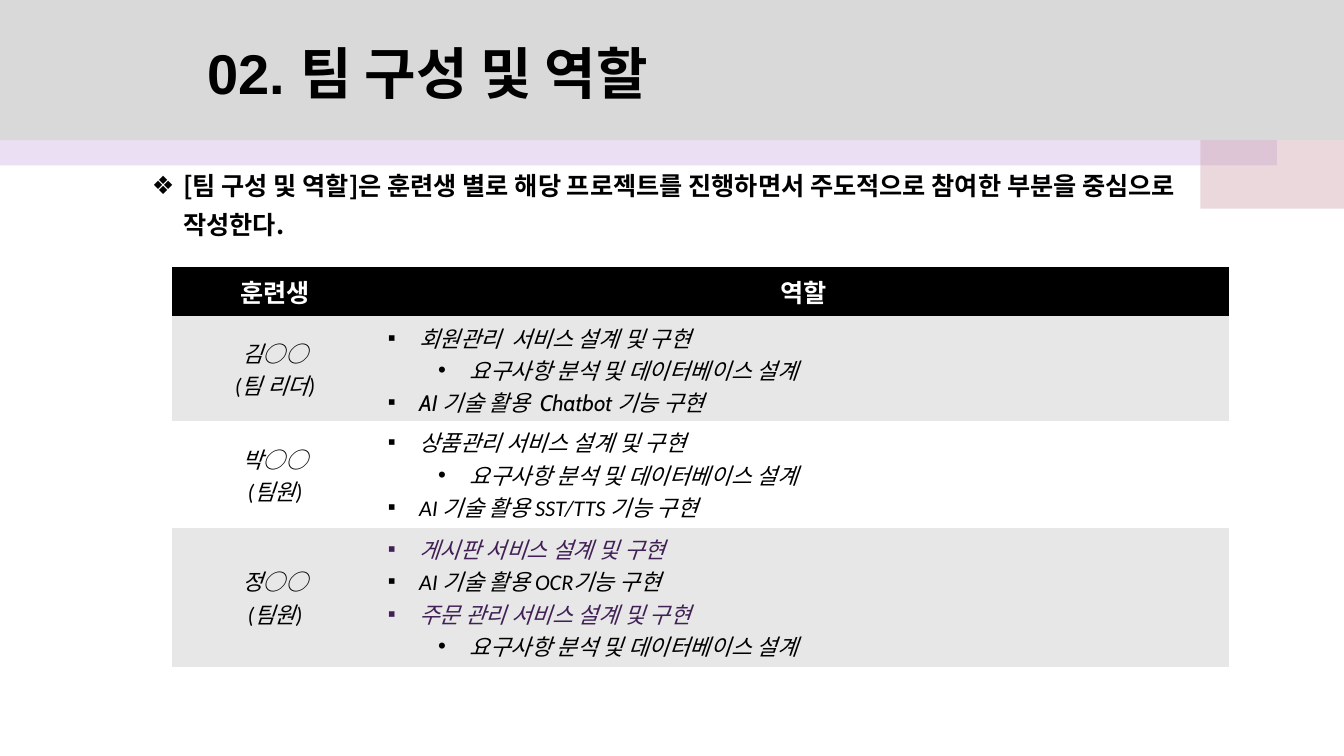
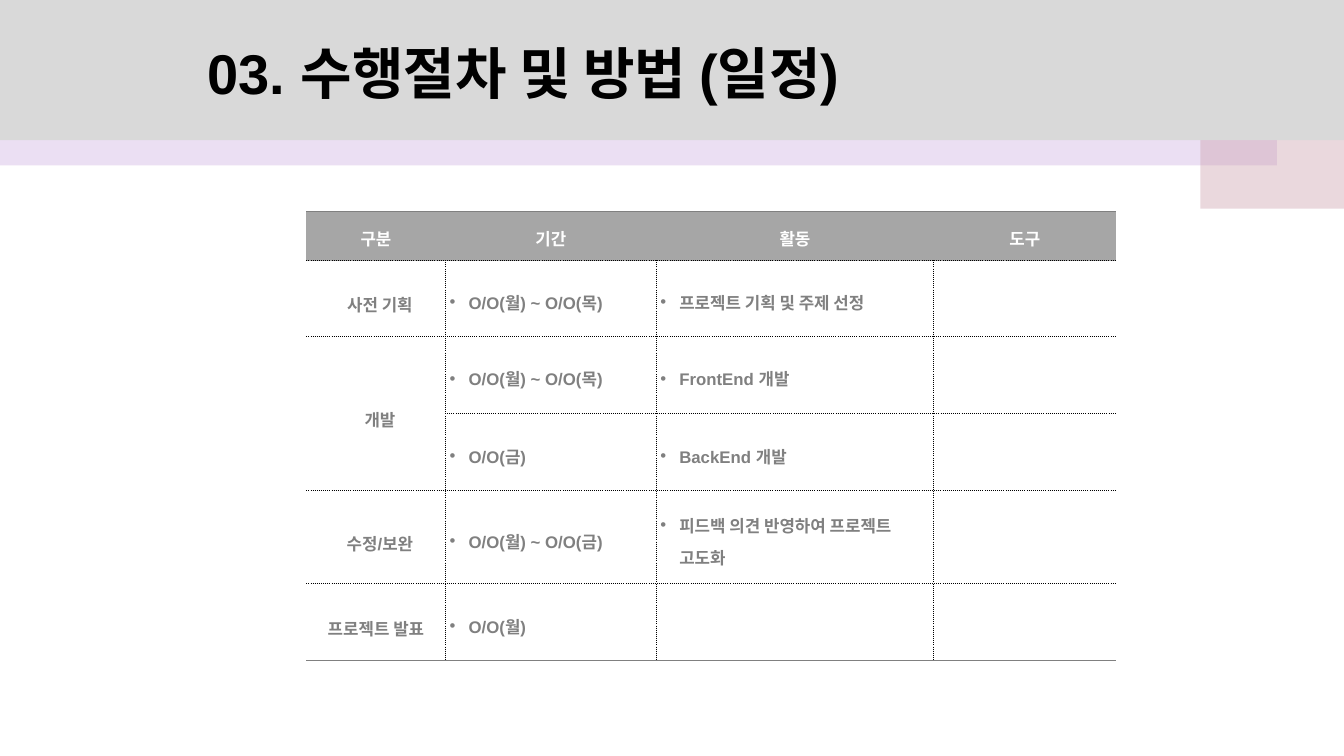
import pptx
import pptx.util
import pptx.dml.color
import pptx.enum.shapes
import pptx.enum.text
import pptx.oxml.ns
from lxml import etree

Cm, Pt = pptx.util.Cm, pptx.util.Pt
qn = pptx.oxml.ns.qn
MID = pptx.enum.text.MSO_ANCHOR.MIDDLE
MITTE = pptx.enum.text.PP_ALIGN.CENTER
HUE = {
    "black": "000000", "white": "FFFFFF", "bar": "D9D9D9", "lilac": "BF98D8",
    "rose": "CC9EAC", "stripe": "E7E7E7", "head": "A6A6A6", "grey": "808080",
    "plum": "412055",
}
ASIAN = "Noto Sans CJK KR"
PLAIN = "{2D5ABB26-0587-4C30-8999-92F81FD0307C}"
SOLID, DOTS = ("grey", 0.5, "solid"), ("black", 1, "sysDot")


def color(name):
    """Return the named colour."""
    return pptx.dml.color.RGBColor.from_string(HUE[name])


def node(parent, tag, **attrs):
    """Append an XML element to its parent."""
    return etree.SubElement(parent, qn(tag), attrs)


def write(para, text, size, font, hue="black", bold=False, slant=False):
    """Add styled runs to a paragraph, one for each line of the text."""
    for i, line in enumerate(text.split("\n")):
        if i:
            para.add_line_break()
        run = para.add_run()
        run.text = line
        face = run.font
        face.size, face.name, face.bold, face.italic = Pt(size), font, bold, slant
        face.color.rgb = color(hue)
        node(face._element, "a:ea", typeface=ASIAN)


def bullet(para, char, left, hang):
    """Give a paragraph a bullet and a hanging indent."""
    prop = para._p.get_or_add_pPr()
    prop.set("marL", str(Cm(left)))
    prop.set("indent", str(-Cm(hang)))
    node(prop, "a:buFont", typeface="Arial")
    node(prop, "a:buChar", char=char)


def paras(frame, count):
    """Return the given number of paragraphs of a text frame."""
    return [frame.paragraphs[0]] + [frame.add_paragraph() for _ in range(count - 1)]


def textbox(slide, box):
    """Add a wrapping text box and return its frame."""
    frame = slide.shapes.add_textbox(*map(Cm, box)).text_frame
    frame.word_wrap = True
    return frame


def band(slide, box, hue, alpha=100):
    """Draw one flat rectangle."""
    shape = slide.shapes.add_shape(
        pptx.enum.shapes.MSO_SHAPE.RECTANGLE, *map(Cm, box))
    shape.shadow.inherit = False
    shape.line.fill.background()
    shape.fill.solid()
    shape.fill.fore_color.rgb = color(hue)
    if alpha < 100:
        tint = shape._element.spPr.find(".//" + qn("a:srgbClr"))
        node(tint, "a:alpha", val=str(alpha * 1000))


def page(deck, title):
    """Add a slide with the shared bands and its title."""
    slide = deck.slides.add_slide(deck.slide_layouts[6])
    band(slide, (0, 1.12, 32.18, 3.05), "lilac", 30)
    band(slide, (30.25, 2.77, 3.63, 2.49), "rose", 40)
    band(slide, (0, 0, 33.87, 3.53), "bar")
    frame = textbox(slide, (4.98, 1.04, 21.34, 1.55))
    frame.vertical_anchor = MID
    write(frame.paragraphs[0], title, 40, "Arial", bold=True)
    return slide


def grid(slide, left, top, cols, rows):
    """Add an unstyled table with the given column widths and row heights."""
    table = slide.shapes.add_table(
        len(rows), len(cols), Cm(left), Cm(top), Cm(sum(cols)), Cm(sum(rows))).table
    table.horz_banding = False
    table._tbl.tblPr.find(qn("a:tableStyleId")).text = PLAIN
    for col, width in zip(table.columns, cols):
        col.width = Cm(width)
    for row, height in zip(table.rows, rows):
        row.height = Cm(height)
    for cell in table.iter_cells():
        cell.vertical_anchor = MID
    return table


def paint(cell, hue):
    """Fill a table cell."""
    cell.fill.solid()
    cell.fill.fore_color.rgb = color(hue)


def edges(cell, **sides):
    """Draw the given sides (L, R, T, B) of a table cell."""
    prop = cell._tc.get_or_add_tcPr()
    drawn = [side for side in "LRTB" if sides.get(side)]
    for i, side in enumerate(drawn):
        hue, width, dash = sides[side]
        line = etree.Element(qn("a:ln" + side), w=str(Pt(width)))
        node(node(line, "a:solidFill"), "a:srgbClr", val=HUE[hue])
        node(line, "a:prstDash", val=dash)
        prop.insert(i, line)


def inset(cell, left):
    """Set the left margin of a cell and clear the others."""
    cell.margin_left = Cm(left)
    cell.margin_right = cell.margin_top = cell.margin_bottom = 0


def roles(slide, left, top, team):
    """Place the table of trainees and what each one does."""
    kinds = {
        "main": ("Cabin", "black"), "sub": ("Cabin", "black"),
        "tech": ("Calibri", "black"), "own": (ASIAN, "plum"),
    }
    table = grid(slide, left, top, (5.18, 21.46), (1.24, 2.64, 2.69, 3.5, 1.4))
    for i, text in enumerate(("훈련생", "역할")):
        para = table.cell(0, i).text_frame.paragraphs[0]
        para.alignment = MITTE
        write(para, text, 18, "Calibri", "white", bold=True)
    for r, row in enumerate(table.rows):
        for cell in row.cells:
            paint(cell, "black" if r == 0 else "stripe" if r % 2 else "white")
    for r, (names, tasks) in enumerate(team, 1):
        for para, text in zip(paras(table.cell(r, 0).text_frame, 2), names):
            para.alignment = MITTE
            write(para, text, 16, "Calibri", slant=True)
        lines = paras(table.cell(r, 1).text_frame, len(tasks))
        for para, (kind, text) in zip(lines, tasks):
            sub = kind == "sub"
            para.level = int(sub)
            bullet(para, "•" if sub else "▪", 2.06 if sub else 0.79, 0.79)
            write(para, text, 16, *kinds[kind], slant=True)


def plan(slide, left, top, heads, steps):
    """Place the schedule table with its dotted grid."""
    table = grid(slide, left, top, (3.51, 5.31, 6.99, 4.6),
                 (1.24, 1.9, 1.95, 1.95, 2.34, 1.93))
    end, last = len(steps), len(heads) - 1
    for r, texts in enumerate([heads] + steps):
        for c, text in enumerate(texts):
            cell = table.cell(r, c)
            if r == 0:
                paint(cell, "head")
            side = DOTS if r else None
            edges(cell,
                  L=side if c else None,
                  R=side if c < last else None if c or r else SOLID,
                  T=DOTS if r else SOLID,
                  B=SOLID if r == end else DOTS)
            if not text:
                continue
            para = cell.text_frame.paragraphs[0]
            if r == 0 or c == 0:
                inset(cell, 0.2 if 0 < r < end else 0)
                para.alignment = MITTE
                para.line_spacing = 1.5 if r else 1.2
            else:
                inset(cell, 0.1)
                para.line_spacing = 1.3
                bullet(para, "•", 0.48, 0.48)
            write(para, text, 12, "Arial", "grey" if r else "white", bold=True)
    # The development step covers two rows, so no line parts them.
    for r, side in ((2, "a:lnB"), (3, "a:lnT")):
        prop = table.cell(r, 0)._tc.tcPr
        prop.remove(prop.find(qn(side)))
    table.cell(2, 0).merge(table.cell(3, 0))
    edges(table.cell(2, 0), B=DOTS)


def team_page(deck):
    """Build the slide on the team and its roles."""
    slide = page(deck, "02. 팀 구성 및 역할")
    need = ("sub", "요구사항 분석 및 데이터베이스 설계")
    roles(slide, 4.34, 6.73, [
        (("김○○", "(팀 리더)"), [
            ("main", "회원관리  서비스 설계 및 구현"), need,
            ("main", "AI 기술 활용  Chatbot 기능 구현")]),
        (("박○○", "(팀원)"), [
            ("main", "상품관리 서비스 설계 및 구현"), need,
            ("tech", "AI 기술 활용 SST/TTS 기능 구현")]),
        (("정○○", "(팀원)"), [
            ("own", "게시판 서비스 설계 및 구현"),
            ("tech", "AI 기술 활용 OCR기능 구현"),
            ("own", "주문 관리 서비스 설계 및 구현"), need]),
    ])
    para = textbox(slide, (3.58, 3.94, 26.64, 2.26)).paragraphs[0]
    para.line_spacing = 1.3
    bullet(para, "❖", 0.79, 0.79)
    write(para, "[팀 구성 및 역할]은 훈련생 별로 해당 프로젝트를 진행하면서 "
          "주도적으로 참여한 부분을 중심으로 작성한다.", 18, ASIAN, bold=True)


def plan_page(deck):
    """Build the slide on the schedule."""
    slide = page(deck, "03. 수행절차 및 방법 (일정)")
    plan(slide, 7.72, 5.33, ("구분", "기간", "활동", "도구"), [
        ("사전 기획", "O/O(월) ~ O/O(목)", "프로젝트 기획 및 주제 선정", ""),
        ("개발", "O/O(월) ~ O/O(목)", "FrontEnd 개발", ""),
        ("", "O/O(금)", "BackEnd 개발", ""),
        ("수정/보완", "O/O(월) ~ O/O(금)", "피드백 의견 반영하여 프로젝트 \n고도화", ""),
        ("프로젝트 발표", "O/O(월)", "", ""),
    ])


deck = pptx.Presentation()
deck.slide_width, deck.slide_height = Cm(33.87), Cm(19.05)
team_page(deck)
plan_page(deck)
deck.save("out.pptx")
